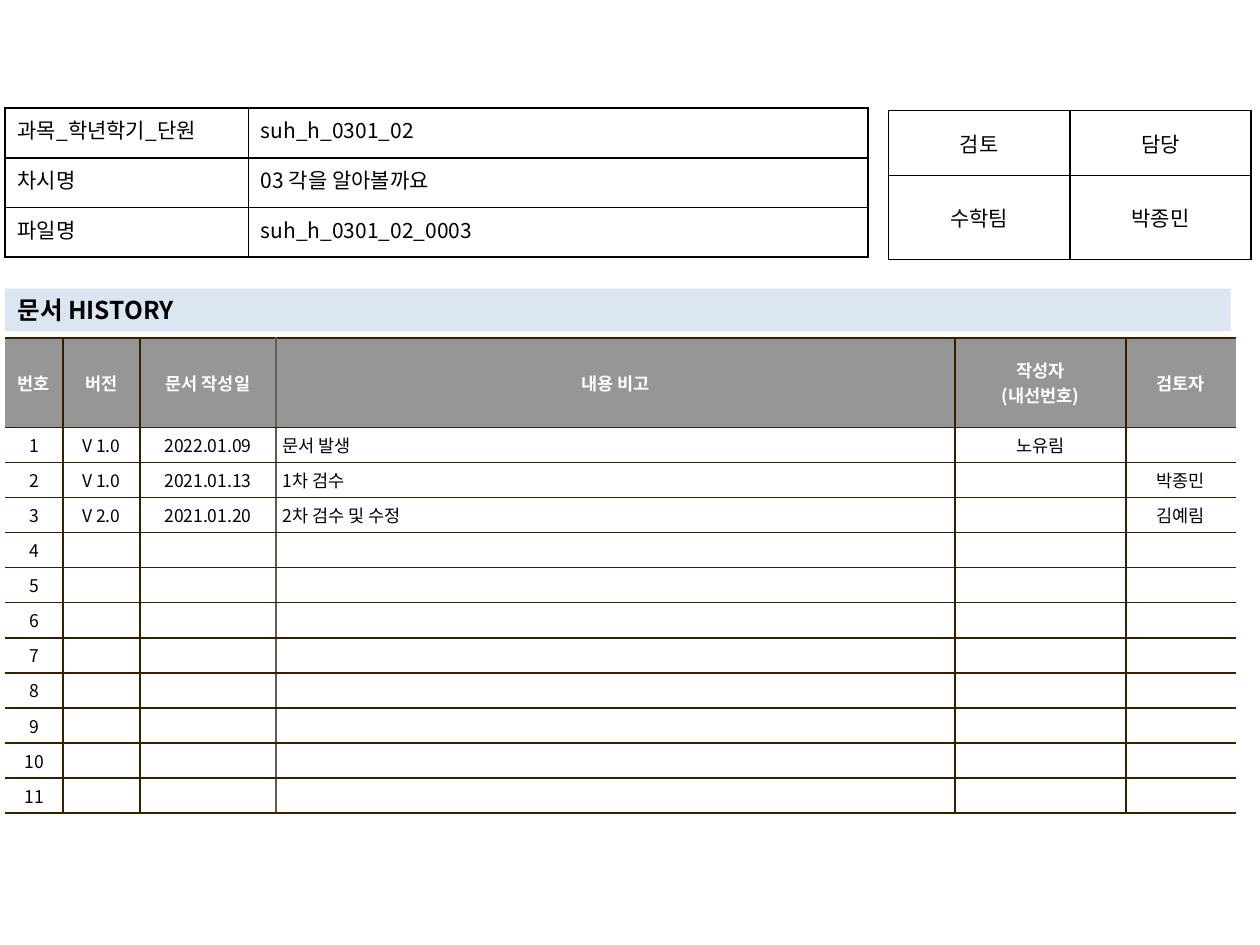
from lxml.etree import SubElement
from pptx import Presentation
from pptx.dml.color import RGBColor
from pptx.enum.shapes import MSO_SHAPE
from pptx.enum.text import MSO_ANCHOR as Anchor, PP_ALIGN as Align
from pptx.oxml.ns import qn
from pptx.util import Pt

theme = {
    "font": "Noto Sans CJK KR",
    "ink": "000000",
    "white": "FFFFFF",
    "header": "969696",
    "bar": "DCE6F2",
    "rule": "362000",
    "soft_rule": "645B4C",
    "small": 10,
    "body": 12,
    "heading": 14,
}


def write_text(frame, text, size, color, align, bold=False):
    for index, line in enumerate(text.split("\n")):
        paragraph = frame.paragraphs[0] if index == 0 else frame.add_paragraph()
        paragraph.alignment = align
        if not line:
            SubElement(paragraph._p, qn("a:endParaRPr"), sz=str(size * 100))
            continue
        run = paragraph.add_run()
        run.text = line
        font_format = {"size": Pt(size), "bold": bold, "name": theme["font"]}
        for key, value in font_format.items():
            setattr(run.font, key, value)
        run.font.color.rgb = RGBColor.from_string(color)
        SubElement(run._r.get_or_add_rPr(), qn("a:ea"), typeface=theme["font"])


def draw_table(rows, box, widths, heights, margins, anchor, style_cell):
    table = slide.shapes.add_table(len(rows), len(widths), *map(Pt, box)).table
    table.first_row = table.horz_banding = False
    for column, width in zip(table.columns, widths):
        column.width = Pt(width)
    for row, height in zip(table.rows, heights):
        row.height = Pt(height)
    for r, values in enumerate(rows):
        for c, value in enumerate(values):
            cell = table.cell(r, c)
            text_format, fill, (left, right, edge) = style_cell(r, c)
            across, down = map(Pt, margins)
            cell_format = {
                "margin_left": across, "margin_right": across,
                "margin_top": down, "margin_bottom": down,
                "vertical_anchor": anchor,
            }
            for key, setting in cell_format.items():
                setattr(cell, key, setting)
            write_text(cell.text_frame, value, **text_format)
            borders = {"lnL": left, "lnR": right, "lnT": edge, "lnB": edge}
            for tag, color in borders.items():
                line = SubElement(cell._tc.get_or_add_tcPr(), qn(f"a:{tag}"), w=str(Pt(1)))
                if color:
                    solid = SubElement(line, qn("a:solidFill"))
                    SubElement(solid, qn("a:srgbClr"), val=color)
                else:
                    SubElement(line, qn("a:noFill"))
            if fill:
                cell.fill.solid()
                cell.fill.fore_color.rgb = RGBColor.from_string(fill)
            else:
                cell.fill.background()


deck = Presentation()
deck.slide_width, deck.slide_height = Pt(720), Pt(540)
slide = deck.slides.add_slide(deck.slide_layouts[6])

history = [
    ["번호", "버전", "문서 작성일", "내용 비고", "작성자\n(내선번호)", "검토자"],
    ["1", "V 1.0", "2022.01.09", "문서 발생", "노유림", ""],
    ["2", "V 1.0", "2021.01.13", "1차 검수", "", "박종민"],
    ["3", "V 2.0", "2021.01.20", "2차 검수 및 수정", "", "김예림"],
]
history += [[str(number)] + [""] * 5 for number in range(4, 12)]
column_rules = [None, theme["rule"], theme["rule"], theme["soft_rule"],
                theme["rule"], theme["rule"], None]
draw_table(
    history, (2.9, 193, 703.4, 247), [33.1, 44, 77.7, 388, 97.8, 62.8],
    [51.2] + [17.8] * 11, (4, 2.83), Anchor.MIDDLE,
    lambda r, c: (
        {"size": theme["small"], "color": theme["ink"] if r else theme["white"],
         "align": Align.LEFT if r and c == 3 else Align.CENTER, "bold": r == 0},
        theme["white"] if r else theme["header"],
        (column_rules[c], column_rules[c + 1], theme["rule"]),
    ),
)

black_rules = (theme["ink"],) * 3
draw_table(
    [["검토", "담당"], ["수학팀", "박종민"]],
    (507.6, 63.2, 207.4, 85), [103.7] * 2, [37.2, 47.8], (7.2, 3.6), Anchor.MIDDLE,
    lambda r, c: (
        {"size": theme["body"], "color": theme["ink"], "align": Align.CENTER},
        None, black_rules,
    ),
)

heading_bar = slide.shapes.add_shape(
    MSO_SHAPE.RECTANGLE, Pt(2.9), Pt(165), Pt(700.4), Pt(24.2))
heading_bar.shadow.inherit = False
heading_bar.fill.solid()
heading_bar.fill.fore_color.rgb = RGBColor.from_string(theme["bar"])
heading_bar.line.fill.background()
heading_bar.text_frame.word_wrap = True
heading_bar.text_frame.vertical_anchor = Anchor.MIDDLE
write_text(heading_bar.text_frame, "문서 HISTORY", theme["heading"],
           theme["ink"], Align.LEFT, True)

draw_table(
    [["과목_학년학기_단원", "suh_h_0301_02"],
     ["차시명", "03 각을 알아볼까요"],
     ["파일명", "suh_h_0301_02_0003"]],
    (2.9, 61.8, 493.2, 85.2), [139, 354.2], [28.4] * 3, (7.2, 3.6), Anchor.TOP,
    lambda r, c: (
        {"size": theme["body"], "color": theme["ink"],
         "align": Align.LEFT if c else Align.JUSTIFY},
        None, black_rules,
    ),
)

deck.save("out.pptx")
